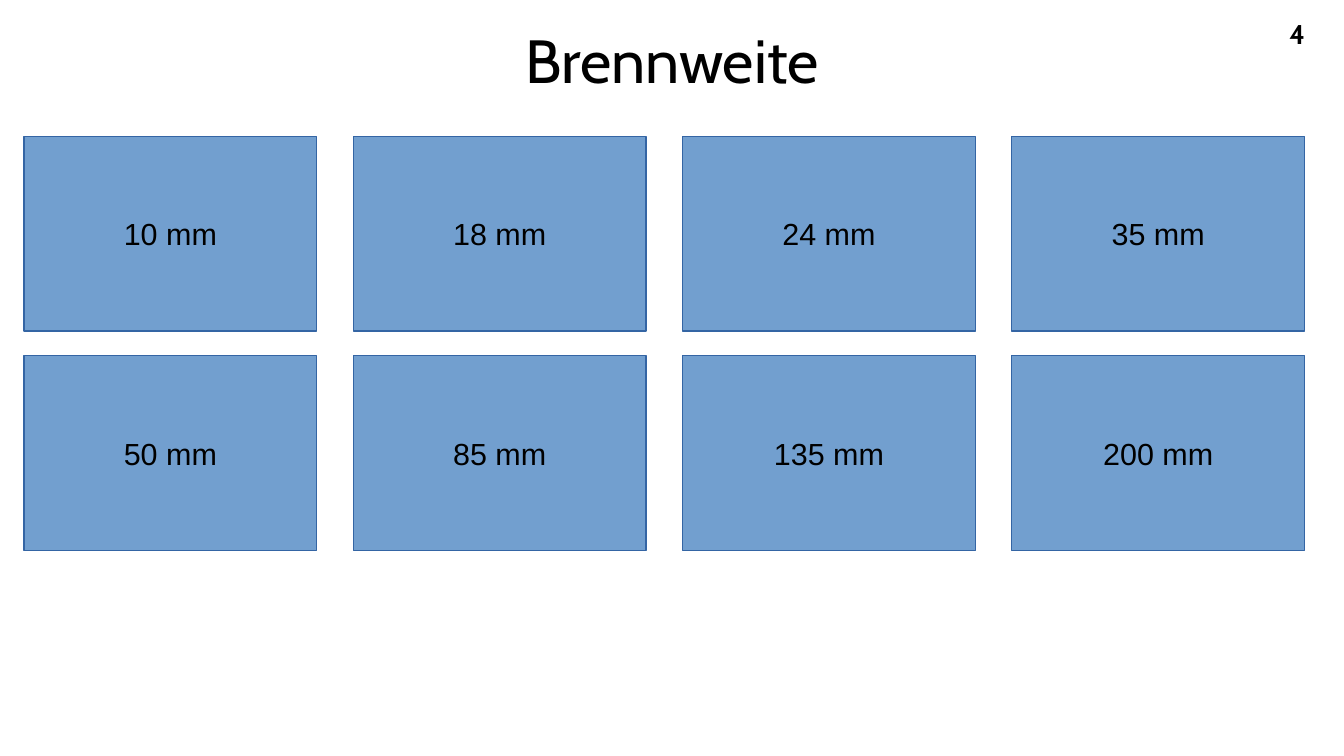
from pptx import Presentation
from pptx.dml.color import RGBColor
from pptx.enum.shapes import MSO_SHAPE
from pptx.enum.text import MSO_ANCHOR, PP_ALIGN
from pptx.util import Cm, Pt

BLACK = RGBColor(0x00, 0x00, 0x00)
WHITE = RGBColor(0xFF, 0xFF, 0xFF)
BLUE = RGBColor(0x72, 0x9F, 0xCF)
EDGE = RGBColor(0x34, 0x65, 0xA4)


def write(frame, text, font, size, align, bold=False):
    par = frame.paragraphs[0]
    par.alignment = align
    run = par.add_run()
    run.text = text
    run.font.name = font
    run.font.size = Pt(size)
    run.font.bold = bold
    run.font.color.rgb = BLACK


deck = Presentation()
deck.slide_width = Cm(28)
deck.slide_height = Cm(15.75)
slide = deck.slides.add_slide(deck.slide_layouts[5])
slide.background.fill.solid()
slide.background.fill.fore_color.rgb = WHITE

# Page number
page = slide.shapes.add_textbox(Cm(23.88), Cm(0.23), Cm(3.56), Cm(1.02))
page.text_frame.word_wrap = True
write(page.text_frame, "4", "Cabin", 16, PP_ALIGN.RIGHT, True)

# Title
title = slide.shapes.title
title.left, title.top = Cm(1.4), Cm(0.23)
title.width, title.height = Cm(25.2), Cm(2)
frame = title.text_frame
frame.margin_left = frame.margin_right = 0
frame.margin_top = frame.margin_bottom = 0
frame.vertical_anchor = MSO_ANCHOR.MIDDLE
write(frame, "Brennweite", "Cabin", 36, PP_ALIGN.CENTER)

# Grid of focal lengths, four to a row
for i, focal in enumerate((10, 18, 24, 35, 50, 85, 135, 200)):
    row, col = divmod(i, 4)
    box = slide.shapes.add_shape(
        MSO_SHAPE.RECTANGLE,
        Cm(0.5 + 6.86 * col), Cm(2.84 + 4.57 * row), Cm(6.1), Cm(4.06))
    box.shadow.inherit = False
    box.fill.solid()
    box.fill.fore_color.rgb = BLUE
    box.line.color.rgb = EDGE
    box.line.width = Pt(0.75)
    box.text_frame.word_wrap = False
    box.text_frame.vertical_anchor = MSO_ANCHOR.MIDDLE
    write(box.text_frame, f"{focal} mm", "Arial", 18, PP_ALIGN.CENTER)

deck.save("out.pptx")
